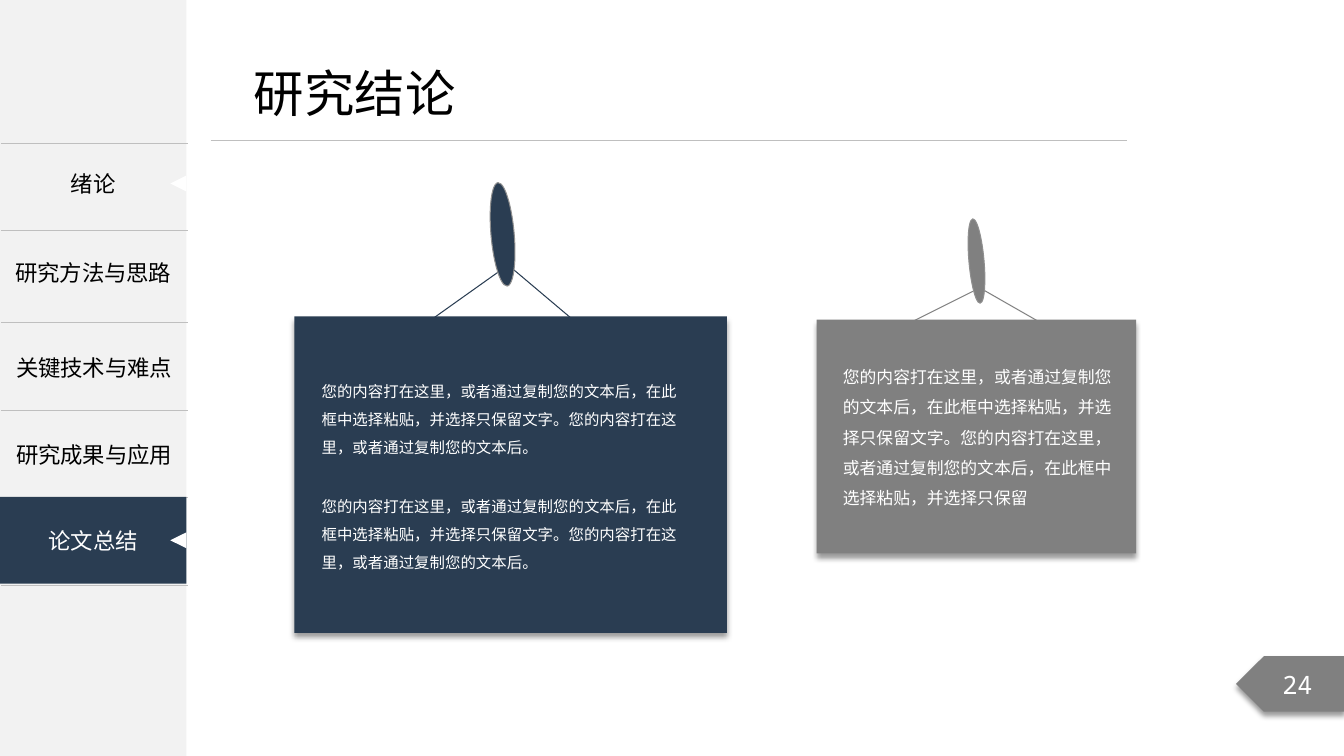
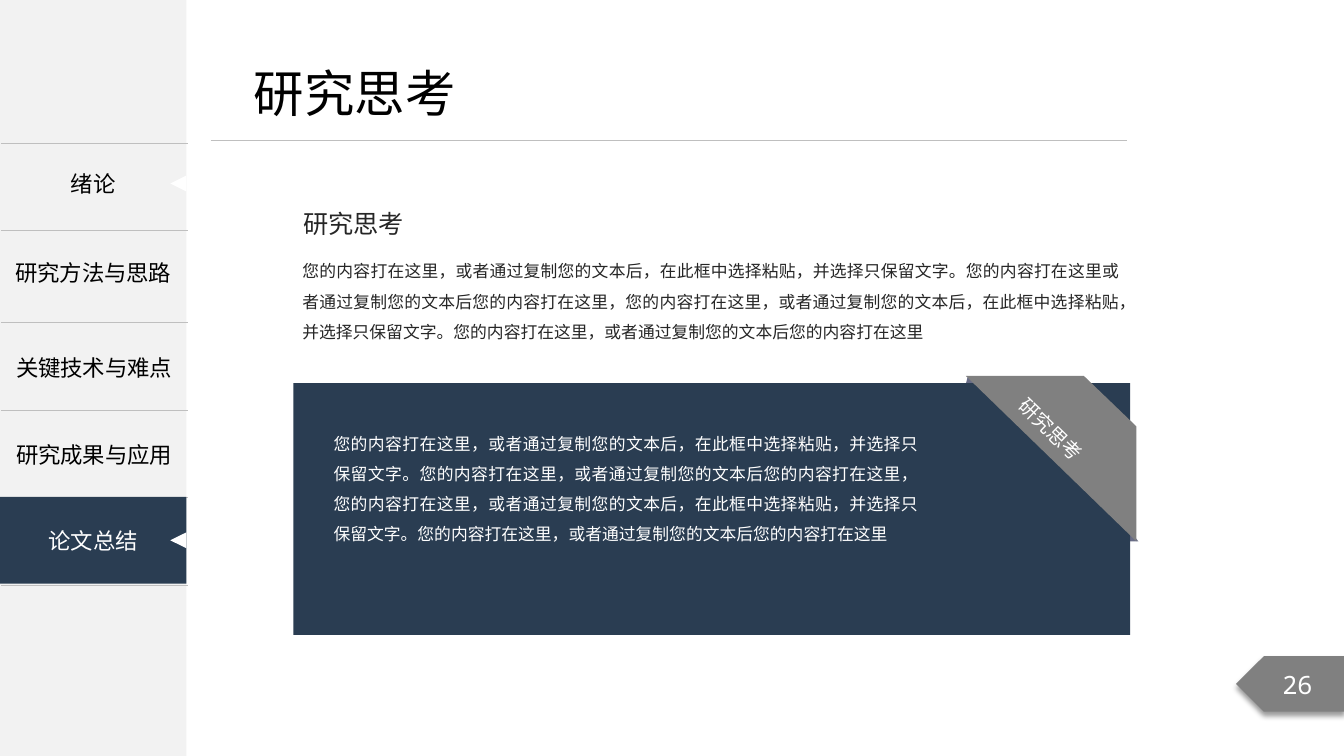
import pptx
import pptx.dml.color
import pptx.enum.dml
import pptx.enum.shapes
import pptx.enum.text
import pptx.oxml
import pptx.oxml.ns
import pptx.util

RGBColor = pptx.dml.color.RGBColor
SHAPE = pptx.enum.shapes.MSO_SHAPE
ALIGN = pptx.enum.text.PP_ALIGN
ANCHOR = pptx.enum.text.MSO_ANCHOR
AUTO = pptx.enum.text.MSO_AUTO_SIZE
Inches, Pt, qn = pptx.util.Inches, pptx.util.Pt, pptx.oxml.ns.qn
NS = pptx.oxml.ns.nsdecls("a")

NAVY = RGBColor(0x2A, 0x3D, 0x52)
GREY = RGBColor(0x80, 0x80, 0x80)
RULE = RGBColor(0xBF, 0xBF, 0xBF)
EDGE = RGBColor(0x8F, 0x8F, 0x8F)
FOLD = RGBColor(0x68, 0x6C, 0x86)
PALE = RGBColor(0xF2, 0xF2, 0xF2)
INK = RGBColor(0x26, 0x26, 0x26)
BLACK = RGBColor(0, 0, 0)
WHITE = RGBColor(0xFF, 0xFF, 0xFF)
SANS, MONO = "Noto Sans CJK SC", "Noto Sans Mono"
NO_STYLE = "{2D5ABB26-0587-4C30-8999-92F81FD0307C}"

WIDTH, HEIGHT = 13.33, 7.5
SIDE_W, ITEM_H = 1.85, 0.86
MENU_ROWS = [0.87, 0.91, 0.87, 0.87, 0.87]
MENU_CELLS = ["", "", "关键技术与难点", "研究成果与应用", ""]
# label, top, fill, text colour, has a pointer
MENU_ITEMS = [
    ("绪论", 1.39, None, BLACK, True),
    ("研究方法与思路", 2.27, None, BLACK, False),
    ("论文总结", 4.93, NAVY, WHITE, True),
]

OPENING = "您的内容打在这里，或者通过复制您的文本后，在此框中选择粘贴，并选择只保留文字。"
SHORT = OPENING + "您的内容打在这里，或者通过复制您的文本后。"
MEDIUM = OPENING + "您的内容打在这里，或者通过复制您的文本后，在此框中选择粘贴，并选择只保留"
ENDING = "或者通过复制您的文本后您的内容打在这里"
REPEAT = "，" + OPENING + "您的内容打在这里，" + ENDING
LONG = OPENING + "您的内容打在这里" + ENDING + REPEAT
LONG_PANEL = OPENING + "您的内容打在这里，" + ENDING + REPEAT

CONCLUSIONS = dict(title="研究结论", page="24", cards=[
    dict(color=NAVY, board=(2.92, 3.14, 4.29, 3.14), pin=(4.87, 1.81, 0.23, 1.03),
         cords=[(4.28, 3.17, 4.94, 2.7), (5.1, 2.68, 5.68, 3.17)], size=11,
         texts=[(SHORT, (3.12, 3.66, 3.8, 0.88)), (SHORT, (3.12, 4.8, 3.8, 0.88))]),
    dict(color=GREY, board=(8.1, 3.17, 3.17, 2.32), pin=(9.61, 2.17, 0.15, 0.84),
         cords=[(9.05, 3.19, 9.65, 2.89), (9.76, 2.88, 10.32, 3.2)], size=12,
         texts=[(MEDIUM, (8.29, 3.5, 2.81, 1.59))]),
])
REFLECTIONS = dict(
    title="研究思考", page="26", heading="研究思考", tag="研究思考",
    folds=[[(11.29, 5.37), (11.17, 5.37), (11.17, 5.22)],
           [(9.6, 3.73), (9.58, 3.81), (9.72, 3.81)]],
    panel=(2.91, 3.8, 8.3, 2.5),
    ribbon=[(9.58, 3.73), (11.27, 5.37), (11.27, 4.23), (10.75, 3.73)])


def inches(values):
    return [Inches(v) for v in values]


def write(tf, text, size, color, face=SANS, **para):
    p = tf.paragraphs[0]
    for name, value in para.items():
        setattr(p, name, value)
    r = p.add_run()
    r.text = text
    for name, value in dict(size=Pt(size), name=face).items():
        setattr(r.font, name, value)
    r.font.color.rgb = color
    ea = pptx.oxml.parse_xml(f'<a:ea {NS} typeface="{face}"/>')
    r.font._element.find(qn("a:latin")).addnext(ea)


def add_text(s, box, text, size, color, wrap=True, inset=(0.1, 0.05),
             anchor=ANCHOR.TOP, **para):
    sp = s.shapes.add_textbox(*inches(box))
    tf = sp.text_frame
    x, y = inches(inset)
    frame = dict(word_wrap=wrap, vertical_anchor=anchor,
                 auto_size=AUTO.NONE if anchor == ANCHOR.MIDDLE else AUTO.SHAPE_TO_FIT_TEXT,
                 margin_left=x, margin_right=x, margin_top=y, margin_bottom=y)
    for name, value in frame.items():
        setattr(tf, name, value)
    write(tf, text, size, color, **para)
    return sp


def paint(sp, fill, line=None, shadow=False):
    sp.shadow.inherit = False
    sp.fill.solid()
    sp.fill.fore_color.rgb = fill
    if line is None:
        sp.line.fill.background()
    else:
        sp.line.color.rgb, sp.line.width = line, Pt(0.75)
    if shadow:
        sp._element.spPr.find(qn("a:effectLst")).append(pptx.oxml.parse_xml(
            f'<a:outerShdw {NS} blurRad="{Pt(4)}" dist="{Pt(3)}" dir="5400000" '
            'algn="t" rotWithShape="0"><a:srgbClr val="000000">'
            '<a:alpha val="40000"/></a:srgbClr></a:outerShdw>'))
    return sp


def add_shape(s, kind, box, fill, rotation=0, **look):
    sp = s.shapes.add_shape(kind, *inches(box))
    sp.rotation = rotation
    return paint(sp, fill, **look)


def add_polygon(s, points, fill):
    corners = [inches(pt) for pt in points]
    builder = s.shapes.build_freeform(*corners[0])
    builder.add_line_segments(corners[1:], close=True)
    return paint(builder.convert_to_shape(), fill)


def add_line(s, ends, color, width):
    ln = s.shapes.add_connector(pptx.enum.shapes.MSO_CONNECTOR.STRAIGHT, *inches(ends))
    ln.line.color.rgb, ln.line.width = color, Pt(width)
    ln._element.spPr.append(pptx.oxml.parse_xml(f"<a:effectLst {NS}/>"))


def add_menu_table(s):
    frame = s.shapes.add_table(len(MENU_ROWS), 1,
                               *inches((0.01, 1.42, SIDE_W, sum(MENU_ROWS))))
    table = frame.table
    table.first_row = table.horz_banding = False
    table._tbl.tblPr.find(qn("a:tableStyleId")).text = NO_STYLE
    for i, (height, label) in enumerate(zip(MENU_ROWS, MENU_CELLS)):
        table.rows[i].height = Inches(height)
        cell = table.cell(i, 0)
        cell.vertical_anchor = ANCHOR.MIDDLE
        for side in ("lnT", "lnB"):
            cell._tc.get_or_add_tcPr().append(pptx.oxml.parse_xml(
                f'<a:{side} {NS} w="{Pt(1)}"><a:solidFill>'
                f'<a:srgbClr val="{RULE}"/></a:solidFill></a:{side}>'))
        cell.fill.background()
        if label:
            write(cell.text_frame, label, 16, BLACK, alignment=ALIGN.CENTER)


def add_frame(prs, title, page):
    """Add a slide with the side menu, title, rule and page marker."""
    s = prs.slides.add_slide(prs.slide_layouts[6])
    add_shape(s, SHAPE.RECTANGLE, (0, 0, SIDE_W, HEIGHT), PALE)
    add_line(s, (2.09, 1.39, 11.18, 1.39), RULE, 0.5)
    marker = add_shape(s, SHAPE.PENTAGON, (12.26, 6.51, 1.08, 0.55), GREY, shadow=True)
    marker._element.spPr.find(qn("a:xfrm")).set("flipH", "1")
    marker.text_frame.vertical_anchor = ANCHOR.MIDDLE
    write(marker.text_frame, page, 18, WHITE, MONO, alignment=ALIGN.CENTER)
    add_menu_table(s)
    for label, top, fill, color, pointer in MENU_ITEMS:
        box = (0, top, SIDE_W, ITEM_H)
        if fill is not None:
            add_shape(s, SHAPE.RECTANGLE, box, fill)
        add_text(s, box, label, 16, color, anchor=ANCHOR.MIDDLE, alignment=ALIGN.CENTER)
        if pointer:
            add_shape(s, SHAPE.ISOSCELES_TRIANGLE,
                      (SIDE_W - 0.16, top + 0.35, 0.16, 0.16), WHITE, rotation=270)
    add_text(s, (2.42, 0.57, 2.22, 0.71), title, 36, BLACK, wrap=False)
    return s


def add_conclusions(prs, content):
    s = add_frame(prs, content["title"], content["page"])
    for card in content["cards"]:
        color = card["color"]
        for ends in card["cords"]:
            add_line(s, ends, color, 0.75)
        add_shape(s, SHAPE.OVAL, card["pin"], color, rotation=355, line=EDGE)
        add_shape(s, SHAPE.RECTANGLE, card["board"], color, shadow=True)
        for text, box in card["texts"]:
            add_text(s, box, text, card["size"], WHITE, inset=(0.07, 0.04), line_spacing=1.5)


def add_reflections(prs, content):
    s = add_frame(prs, content["title"], content["page"])
    body = dict(alignment=ALIGN.JUSTIFY, line_spacing=1.5)
    add_text(s, (2.9, 2.44, 8.31, 1.31), LONG, 12, INK, **body)
    add_text(s, (2.91, 2.02, 1.21, 0.4), content["heading"], 18, INK, wrap=False)
    for fold in content["folds"]:
        add_polygon(s, fold, FOLD)
    add_shape(s, SHAPE.RECTANGLE, content["panel"], NAVY)
    add_polygon(s, content["ribbon"], GREY)
    tag = add_text(s, (9.93, 4.1, 0.99, 0.34), content["tag"], 14, WHITE, wrap=False)
    tag.rotation = 44
    add_text(s, (3.21, 4.15, 6, 1.79), LONG_PANEL, 12, WHITE, **body)


def main():
    prs = pptx.Presentation()
    prs.slide_width, prs.slide_height = inches((WIDTH, HEIGHT))
    add_conclusions(prs, CONCLUSIONS)
    add_reflections(prs, REFLECTIONS)
    prs.save("out.pptx")


if __name__ == "__main__":
    main()
